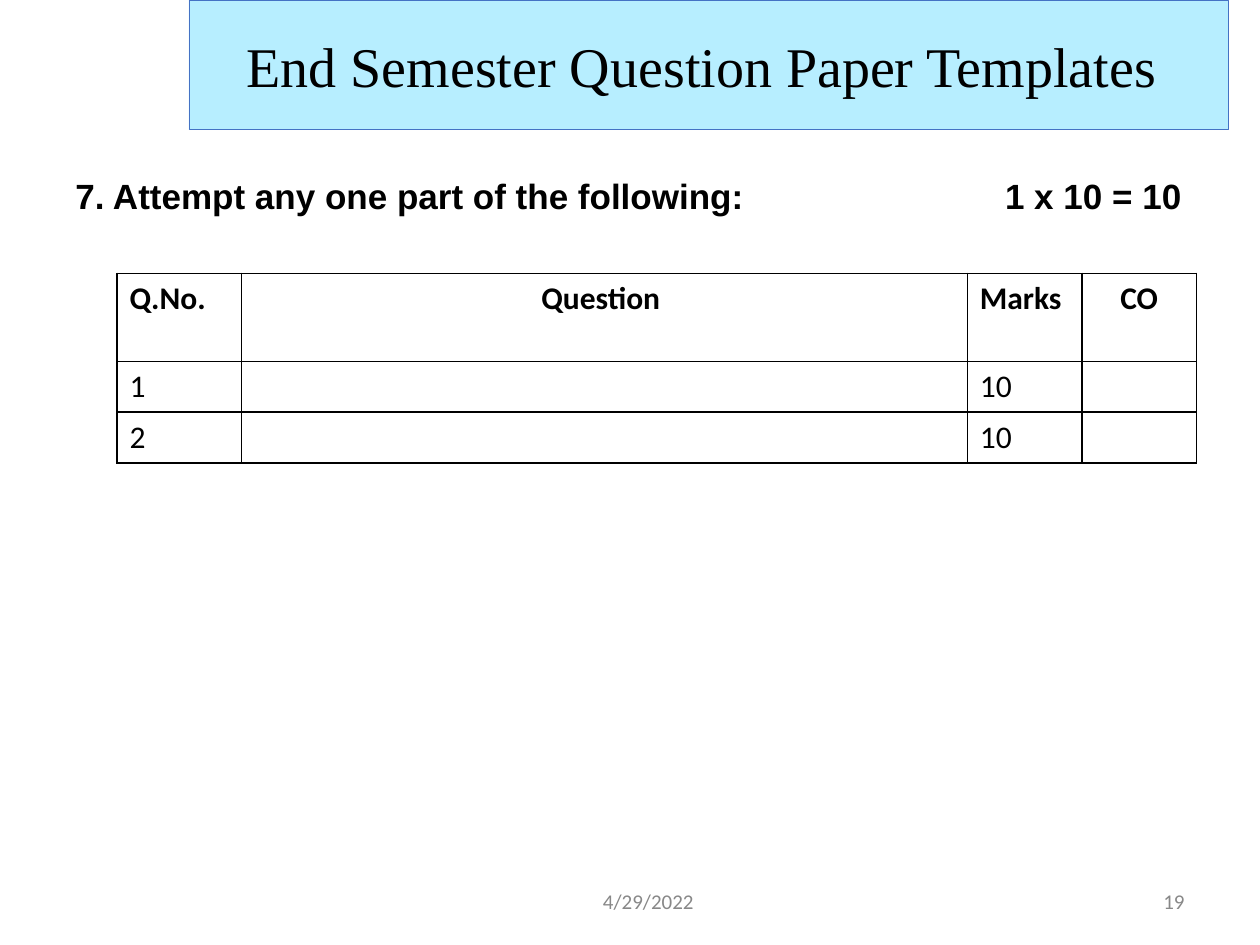
from dataclasses import dataclass

from lxml.etree import SubElement
from pptx import Presentation
from pptx.dml.color import RGBColor
from pptx.enum.shapes import MSO_SHAPE
from pptx.enum.text import MSO_ANCHOR, PP_ALIGN
from pptx.oxml.ns import qn
from pptx.util import Cm, Pt


@dataclass(frozen=True)
class Theme:
    """Hold the colours, fonts and type sizes of the slide."""
    ink: str = "000000"
    paper: str = "FFFFFF"
    band: str = "B7EEFF"
    edge: str = "4472C4"
    muted: str = "888888"
    head: dict = None
    task: dict = None
    label: dict = None
    entry: dict = None
    foot: dict = None


THEME = Theme(
    head={"name": "Times New Roman", "size": Pt(32)},
    task={"name": "Arial", "size": Pt(20), "bold": True},
    label={"name": "Calibri", "size": Pt(18), "bold": True},
    entry={"name": "Calibri", "size": Pt(18), "bold": False},
    foot={"name": "Calibri", "size": Pt(12)},
)


def tint(hue):
    """Turn a hex string into a colour."""
    return RGBColor.from_string(hue)


def write(frame, text, style, hue=THEME.ink, align=PP_ALIGN.LEFT):
    """Put one styled line in a text frame and return its paragraph."""
    line = frame.paragraphs[0]
    line.alignment = align
    run = line.add_run()
    run.text = text
    for key, value in style.items():
        setattr(run.font, key, value)
    run.font.color.rgb = tint(hue)
    return line


def add_text(slide, box, text, style, anchor=MSO_ANCHOR.TOP, **look):
    """Add a wrapping text box and return its paragraph."""
    frame = slide.shapes.add_textbox(*map(Cm, box)).text_frame
    for key, value in {"word_wrap": True, "vertical_anchor": anchor}.items():
        setattr(frame, key, value)
    return write(frame, text, style, **look)


def add_banner(slide, box, text):
    """Add the title band."""
    band = slide.shapes.add_shape(MSO_SHAPE.RECTANGLE, *map(Cm, box))
    band.shadow.inherit = False
    band.fill.solid()
    band.fill.fore_color.rgb = tint(THEME.band)
    band.line.color.rgb = tint(THEME.edge)
    band.line.width = Pt(0.5)
    band.text_frame.vertical_anchor = MSO_ANCHOR.MIDDLE
    write(band.text_frame, text, THEME.head, align=PP_ALIGN.CENTER)


def add_task(slide, box, text, stop):
    """Add the task line with its marks set at a right tab stop."""
    line = add_text(slide, box, text, THEME.task)
    line.space_before = Pt(3.6)
    tabs = SubElement(line._p.get_or_add_pPr(), qn("a:tabLst"))
    SubElement(tabs, qn("a:tab"), pos=str(Cm(stop)), algn="r")


def frame_cell(cell):
    """Fill a cell and rule its four sides."""
    props = cell._tc.get_or_add_tcPr()
    for side in ("L", "R", "T", "B"):
        rule = SubElement(props, qn(f"a:ln{side}"), w=str(Pt(1)))
        fill = SubElement(rule, qn("a:solidFill"))
        SubElement(fill, qn("a:srgbClr"), val=THEME.ink)
    cell.fill.solid()
    cell.fill.fore_color.rgb = tint(THEME.paper)


def add_grid(slide, spot, widths, heights, rows, aligns):
    """Add the question table."""
    size = sum(widths), sum(heights)
    grid = slide.shapes.add_table(
        len(rows), len(widths), *map(Cm, (*spot, *size))).table
    grid.first_row = grid.horz_banding = False
    for col, width in zip(grid.columns, widths):
        col.width = Cm(width)
    for r, (row, height) in enumerate(zip(rows, heights)):
        grid.rows[r].height = Cm(height)
        style = THEME.entry if r else THEME.label
        for c, (text, align) in enumerate(zip(row, aligns)):
            cell = grid.cell(r, c)
            frame_cell(cell)
            if text:
                write(cell.text_frame, text, style, align=align)


def main():
    """Build the slide and save it."""
    deck = Presentation()
    deck.slide_width, deck.slide_height = Cm(25.4), Cm(19.05)
    slide = deck.slides.add_slide(deck.slide_layouts[6])
    left, mid, right = PP_ALIGN.LEFT, PP_ALIGN.CENTER, PP_ALIGN.RIGHT

    add_banner(slide, (3.81, 0, 20.96, 2.62),
               "End Semester Question Paper Templates ")
    add_task(slide, (1.27, 3.4, 22.86, 13.21),
             "7. Attempt any one part of the following:\t1 x 10 = 10", 22.3)
    add_grid(slide, (2.36, 5.51), (2.51, 14.63, 2.31, 2.31),
             (1.78, 1.02, 1.02),
             (("Q.No.", "Question ", "Marks", "CO"),
              ("1", "", "10", ""),
              ("2", "", "10", "")),
             (left, mid, left, mid))
    for x, width, text, align in ((6.02, 14.1, "4/29/2022", mid),
                                  (18.21, 5.92, "19", right)):
        add_text(slide, (x, 17.65, width, 1.02), text, THEME.foot,
                 MSO_ANCHOR.MIDDLE, hue=THEME.muted, align=align)
    deck.save("out.pptx")


if __name__ == "__main__":
    main()
